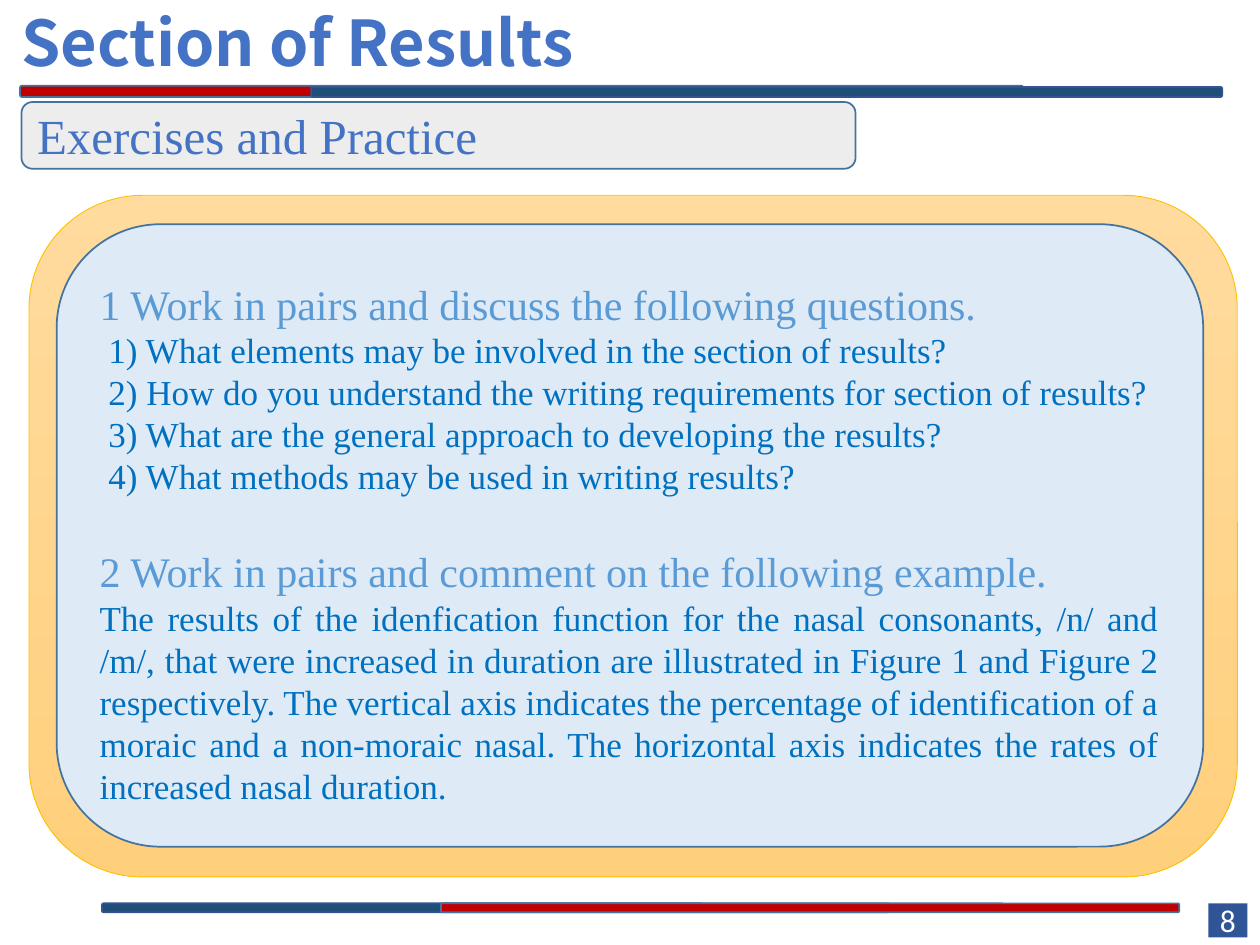
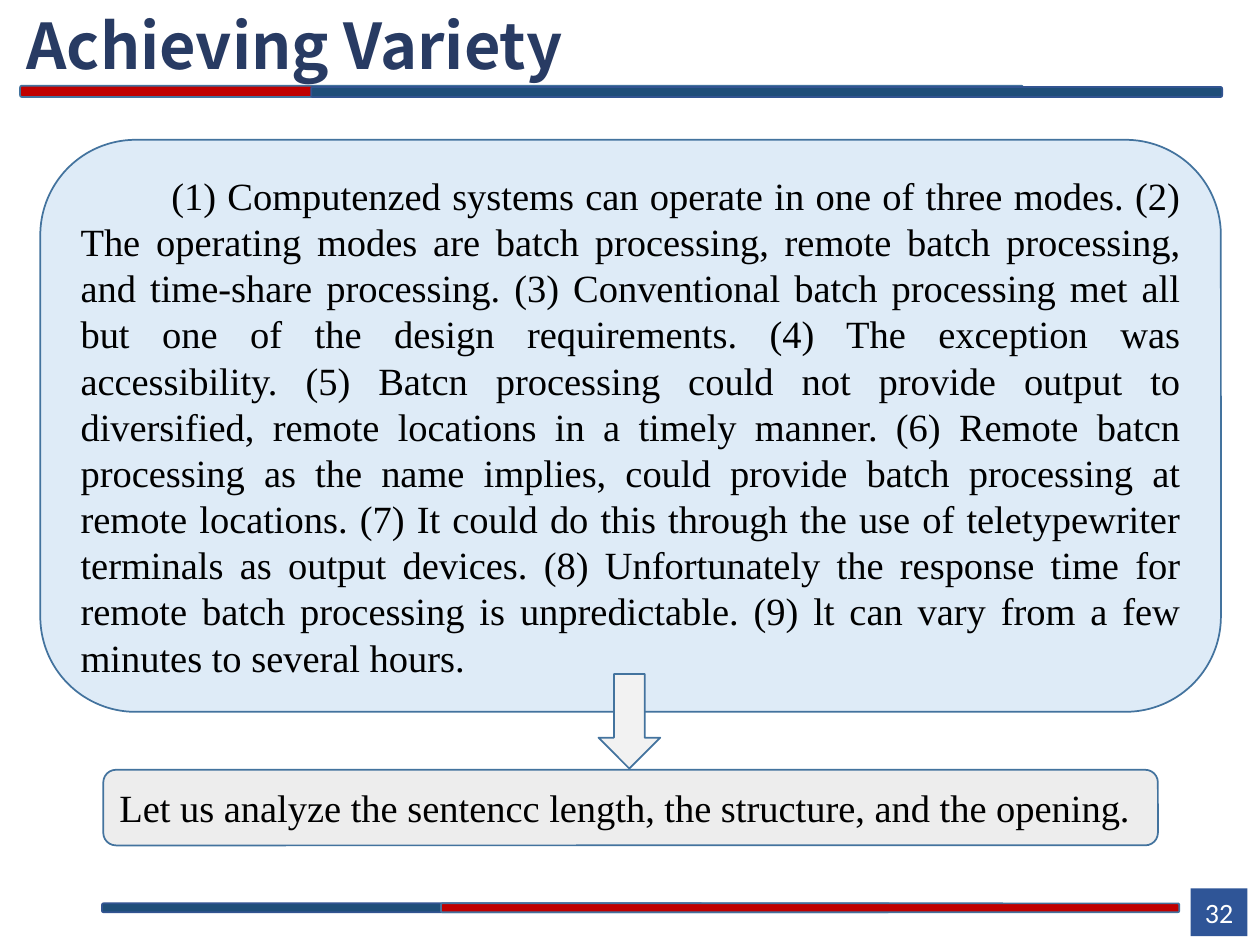
from dataclasses import dataclass
from typing import Optional

import lxml.etree
import pptx
import pptx.dml.color
import pptx.enum.shapes
import pptx.enum.text
import pptx.oxml.ns
import pptx.util

EMU_PER_PX = 9144
SHAPE = pptx.enum.shapes.MSO_SHAPE
ALIGN = pptx.enum.text.PP_ALIGN
ANCHOR = pptx.enum.text.MSO_ANCHOR


@dataclass(frozen=True)
class Theme:
    title_font: str = "Noto Sans CJK SC"
    text_font: str = "Times New Roman"
    number_font: str = "Calibri"
    title_size: int = 36
    subtitle_size: int = 28
    heading_size: int = 24
    passage_size: int = 22
    question_size: int = 20
    red: str = "C00000"
    navy: str = "1F4E79"
    navy_edge: str = "325491"
    edge: str = "43739E"
    badge: str = "2F5597"
    panel: str = "DEEBF7"
    label: str = "EDEDED"
    arrow: str = "F2F2F2"
    frame_top: str = "FFDB9E"
    frame_bottom: str = "FFD07C"
    frame_edge: str = "FFC000"
    title_bright: str = "4472C4"
    title_dark: str = "283B63"
    heading: str = "5B9BD5"
    question: str = "0070C0"
    black: str = "000000"
    white: str = "FFFFFF"


THEME = Theme()


@dataclass(frozen=True)
class Box:
    left: int
    top: int
    width: int
    height: int


@dataclass(frozen=True)
class Style:
    size: int
    color: str
    font: str = THEME.text_font
    bold: bool = False
    align: ALIGN = ALIGN.LEFT
    margin: int = 0
    indent: int = 0
    space_before: int = 0


@dataclass(frozen=True)
class Block:
    box: Box
    fill: str
    edge: Optional[str] = THEME.edge
    outline: SHAPE = SHAPE.ROUNDED_RECTANGLE
    edge_width: float = 1


BANDS = (
    Block(Box(16, 68, 796, 9), THEME.red),
    Block(Box(247, 69, 723, 8), THEME.navy, THEME.navy_edge),
    Block(Box(81, 717, 625, 7), THEME.navy, THEME.navy_edge),
    Block(Box(350, 717, 586, 7), THEME.red),
)

HEADING = Style(THEME.heading_size, THEME.heading, align=ALIGN.JUSTIFY)
NEXT_HEADING = Style(THEME.heading_size, THEME.heading, align=ALIGN.JUSTIFY, space_before=28)
QUESTION = Style(THEME.question_size, THEME.question, align=ALIGN.JUSTIFY, margin=7)
EXAMPLE = Style(THEME.question_size, THEME.question, align=ALIGN.JUSTIFY)

EXERCISES = (
    ("1 Work in pairs and discuss the following questions.", HEADING),
    ("1) What elements may be involved in the section of results?", QUESTION),
    ("2) How do you understand the writing requirements for section of results?", QUESTION),
    ("3) What are the general approach to developing the results?", QUESTION),
    ("4) What methods may be used in writing results?", QUESTION),
    ("2 Work in pairs and comment on the following example.", NEXT_HEADING),
    (
        "The results of the idenfication function for the nasal consonants, /n/ and /m/, "
        "that were increased in duration are illustrated in Figure 1 and Figure 2 respectively. "
        "The vertical axis indicates the percentage of identification of a moraic and a "
        "non-moraic nasal. The horizontal axis indicates the rates of increased nasal duration.",
        EXAMPLE,
    ),
)

PASSAGE = (
    "(1) Computenzed systems can operate in one of three modes. (2) The operating modes are "
    "batch processing, remote batch processing, and time-share processing. (3) Conventional "
    "batch processing met all but one of the design requirements. (4) The exception was "
    "accessibility. (5) Batcn processing could not provide output to diversified, remote "
    "locations in a timely manner. (6) Remote batcn processing as the name implies, could "
    "provide batch processing at remote locations. (7) It could do this through the use of "
    "teletypewriter terminals as output devices. (8) Unfortunately the response time for "
    "remote batch processing is unpredictable. (9) lt can vary from a few minutes to several hours."
)


def px(length: int) -> int:
    return pptx.util.Emu(length * EMU_PER_PX)


def rgb(color: str) -> pptx.dml.color.RGBColor:
    return pptx.dml.color.RGBColor.from_string(color)


def write(paragraph, text: str, style: Style) -> None:
    paragraph.text = text
    properties = paragraph._p.get_or_add_pPr()
    properties.set("marL", str(px(style.margin)))
    properties.set("indent", str(px(style.indent)))
    lxml.etree.SubElement(properties, pptx.oxml.ns.qn("a:buNone"))
    paragraph.alignment = style.align
    paragraph.space_before = pptx.util.Pt(style.space_before)
    font = paragraph.font
    font.name = style.font
    font.size = pptx.util.Pt(style.size)
    font.bold = style.bold
    font.color.rgb = rgb(style.color)


def place(placeholder, box: Box) -> None:
    placeholder.left, placeholder.top = px(box.left), px(box.top)
    placeholder.width, placeholder.height = px(box.width), px(box.height)
    frame = placeholder.text_frame
    frame.margin_left = frame.margin_top = frame.margin_right = frame.margin_bottom = 0
    frame.vertical_anchor = ANCHOR.TOP
    frame.auto_size = pptx.enum.text.MSO_AUTO_SIZE.NONE
    frame.word_wrap = True


def draw(slide, block: Block):
    box = block.box
    shape = slide.shapes.add_shape(
        block.outline, px(box.left), px(box.top), px(box.width), px(box.height)
    )
    shape.shadow.inherit = False
    shape.fill.solid()
    shape.fill.fore_color.rgb = rgb(block.fill)
    if block.edge:
        shape.line.color.rgb = rgb(block.edge)
        shape.line.width = pptx.util.Pt(block.edge_width)
    else:
        shape.line.fill.background()
    return shape


def draw_text(slide, block: Block, text: str, style: Style):
    shape = draw(slide, block)
    shape.text_frame.word_wrap = True
    shape.text_frame.vertical_anchor = ANCHOR.MIDDLE
    write(shape.text_frame.paragraphs[0], text, style)
    return shape


def start_slide(deck, layout: int, title: str, color: str, corner: tuple[int, int]):
    slide = deck.slides.add_slide(deck.slide_layouts[layout])
    place(slide.shapes.title, Box(*corner, 657, 62))
    write(
        slide.shapes.title.text_frame.paragraphs[0],
        title,
        Style(THEME.title_size, color, THEME.title_font, bold=True),
    )
    for band in BANDS:
        draw(slide, band)
    return slide


def number_slide(slide, number: str, box: Box, size: int) -> None:
    badge = draw_text(
        slide,
        Block(box, THEME.badge, None, SHAPE.RECTANGLE),
        number,
        Style(size, THEME.white, THEME.number_font, align=ALIGN.CENTER),
    )
    badge.text_frame.margin_left = badge.text_frame.margin_right = 0


def build_results(deck) -> None:
    slide = start_slide(deck, 1, "Section of Results", THEME.title_bright, (17, 3))
    number_slide(slide, "8", Box(959, 717, 31, 27), 18)
    frame = draw(
        slide, Block(Box(23, 155, 959, 541), THEME.frame_top, THEME.frame_edge, edge_width=0.5)
    )
    frame.fill.gradient()
    frame.fill.gradient_angle = 270
    for stop, color in zip(frame.fill.gradient_stops, (THEME.frame_top, THEME.frame_bottom)):
        stop.color.rgb = rgb(color)
    draw(slide, Block(Box(45, 178, 910, 494), THEME.panel))
    draw_text(
        slide,
        Block(Box(17, 81, 662, 53), THEME.label),
        "Exercises and Practice",
        Style(THEME.subtitle_size, THEME.title_bright),
    )
    exercises = slide.placeholders[1]
    place(exercises, Box(79, 221, 841, 430))
    slide.shapes.element.append(exercises.element)
    for index, (text, style) in enumerate(EXERCISES):
        lines = exercises.text_frame
        write(lines.add_paragraph() if index else lines.paragraphs[0], text, style)


def build_variety(deck) -> None:
    slide = start_slide(deck, 5, "Achieving Variety", THEME.title_dark, (21, 5))
    number_slide(slide, "32", Box(945, 705, 45, 38), 16)
    draw_text(
        slide,
        Block(Box(82, 611, 837, 60), THEME.label),
        "Let us analyze the sentencc length, the structure, and the opening.",
        Style(THEME.passage_size, THEME.black),
    )
    draw_text(
        slide,
        Block(Box(32, 111, 937, 454), THEME.panel),
        PASSAGE,
        Style(THEME.passage_size, THEME.black, align=ALIGN.JUSTIFY, indent=72),
    )
    draw(slide, Block(Box(475, 535, 49, 75), THEME.arrow, outline=SHAPE.DOWN_ARROW))


def main() -> None:
    deck = pptx.Presentation()
    deck.slide_width, deck.slide_height = px(1000), px(750)
    build_results(deck)
    build_variety(deck)
    deck.save("out.pptx")


if __name__ == "__main__":
    main()
